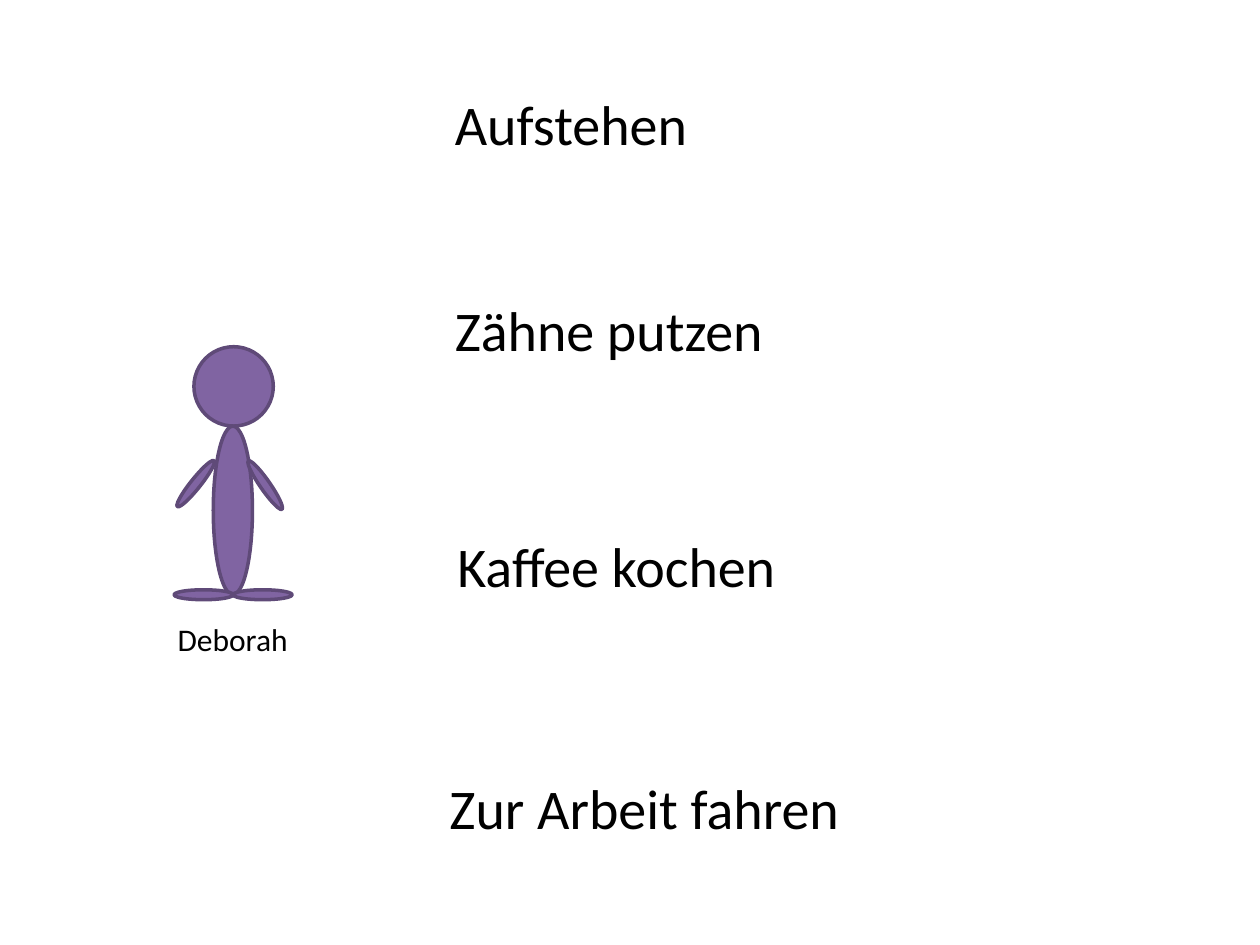
from dataclasses import dataclass

from pptx import Presentation
from pptx import util as u
from pptx.dml.color import RGBColor
from pptx.enum import shapes, text


@dataclass
class Limb:
    left: float
    top: float
    width: float
    height: float
    turn: float = 0


@dataclass
class Label:
    words: str
    left: float
    top: float
    width: float
    height: float = 1.63
    size: int = 32


FILL, EDGE, INK = "8064A2", "5F4A78", "000000"
LONG, THIN = 1.19, 0.2

LIMBS = [
    Limb(3.91, 6.99, 1.6, 1.6),
    Limb(4.3, 8.59, 0.79, 3.4),
    Limb(4.7, 11.89, LONG, THIN),
    Limb(3.51, 11.89, LONG, THIN),
    Limb(3.35, 9.65, LONG, THIN, 128.6),
    Limb(4.75, 9.68, LONG, THIN, 55.2),
]

LABELS = [
    Label("Deborah", 3.33, 12.37, 2.77, 1.02, 18),
    Label("Aufstehen", 8.92, 1.68, 5.23),
    Label("Zähne putzen", 8.92, 5.84, 6.78),
    Label("Kaffee kochen", 8.97, 10.59, 7.01),
    Label("Zur Arbeit fahren", 8.81, 15.47, 8.46),
]


def paint(form, code: str) -> None:
    form.solid()
    form.fore_color.rgb = RGBColor.from_string(code)


def place(part: Limb | Label) -> list[u.Cm]:
    return [u.Cm(n) for n in (part.left, part.top, part.width, part.height)]


def draw_limb(group, limb: Limb) -> None:
    oval = group.shapes.add_shape(shapes.MSO_SHAPE.OVAL, *place(limb))
    oval.rotation = limb.turn
    oval.shadow.inherit = False
    paint(oval.fill, FILL)
    paint(oval.line.fill, EDGE)
    oval.line.width = u.Pt(2)


def write(frame, words: str, *, size: int, face: str = "Calibri", ink: str = INK) -> None:
    frame.word_wrap = False
    frame.auto_size = text.MSO_AUTO_SIZE.SHAPE_TO_FIT_TEXT
    run = frame.paragraphs[0].add_run()
    run.text = words
    run.font.name = face
    run.font.size = u.Pt(size)
    paint(run.font.fill, ink)


def draw_label(slide, label: Label) -> None:
    box = slide.shapes.add_textbox(*place(label))
    write(box.text_frame, label.words, size=label.size)


def main() -> None:
    deck = Presentation()
    deck.slide_width, deck.slide_height = u.Cm(25.4), u.Cm(19.05)
    slide = deck.slides.add_slide(deck.slide_layouts[6])
    paint(slide.background.fill, "FFFFFF")
    person = slide.shapes.add_group_shape()
    for limb in LIMBS:
        draw_limb(person, limb)
    for label in LABELS:
        draw_label(slide, label)
    deck.save("out.pptx")


if __name__ == "__main__":
    main()
